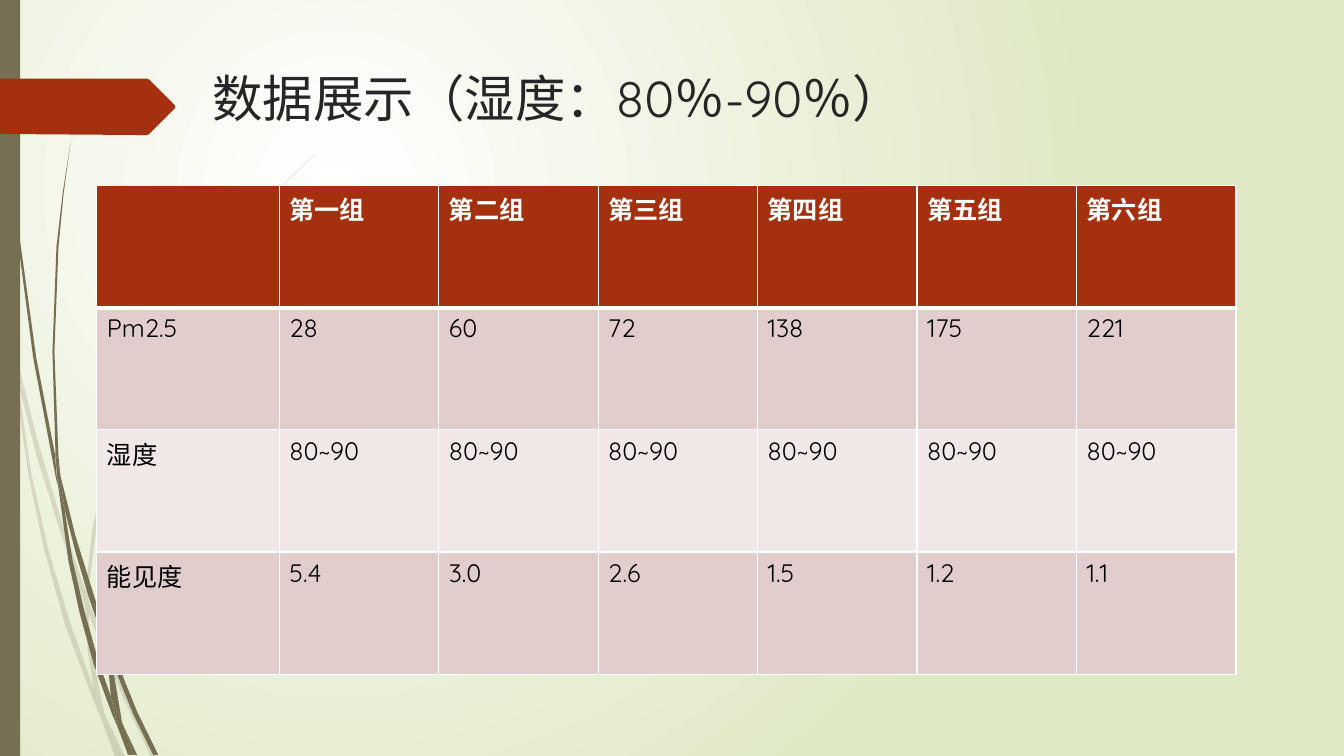
from lxml.etree import SubElement
from pptx import Presentation
from pptx.dml.color import RGBColor
from pptx.oxml.ns import qn
from pptx.enum.shapes import MSO_SHAPE
from pptx.util import Inches, Pt

WHITE = RGBColor(0xFF, 0xFF, 0xFF)
BLACK = RGBColor(0, 0, 0)
PALE_GREEN = RGBColor(0xDF, 0xE8, 0xC4)
OLIVE = RGBColor(0x76, 0x6F, 0x54)
RUST = RGBColor(0xA5, 0x30, 0x10)
CHARCOAL = RGBColor(0x26, 0x26, 0x26)
PINK = RGBColor(0xE1, 0xCD, 0xCC)
LIGHT_PINK = RGBColor(0xF0, 0xE8, 0xE7)
FONT = "Quicksand"

PALE_GRASS = [
    [(0.11, 3.5), (0.09, 3.22), (0, 2.82), (0, 2.99), (0.1, 3.44)],
    [(0.58, 5.22), (0.84, 5.99), (0.85, 5.86), (0.62, 5.2), (0.37, 4.36), (0.14, 3.45),
     (0.17, 3.76), (0.36, 4.51)],
    [(0.92, 6.07), (0.88, 5.96), (0.88, 6.1), (1.23, 6.94), (1.5, 7.51), (1.55, 7.51),
     (1.27, 6.92)],
    [(1.19, 7.51), (1.24, 7.51), (1.05, 7.11)],
    [(0.93, 6.83), (0.7, 6.19), (0.48, 5.45), (0.31, 4.69), (0.17, 3.76), (0.11, 3.5),
     (0.28, 4.7), (0.44, 5.46), (0.65, 6.21), (0.92, 6.93), (1.01, 7.14), (0.99, 7.07)],
    [(0.84, 5.99), (0.87, 6.46), (0.93, 6.83), (0.96, 6.92), (1.05, 7.11), (1.03, 7.06),
     (0.91, 6.46), (0.88, 6.1), (0.88, 6.08)],
    [(0.88, 5.84), (0.96, 5.22), (1.1, 4.62), (1.33, 4.04), (1.6, 3.49), (1.93, 2.95),
     (2.29, 2.45), (2.68, 1.98), (2.9, 1.75), (3.12, 1.54), (3.12, 1.53), (2.89, 1.75),
     (2.68, 1.97), (2.28, 2.44), (1.91, 2.94), (1.58, 3.48), (1.3, 4.03), (1.07, 4.61),
     (0.92, 5.22), (0.85, 5.84), (0.85, 5.86), (0.88, 5.96)],
    [(1.01, 7.14), (1.14, 7.51), (1.19, 7.51)],
    [(0.88, 6.08), (0.88, 6.1), (0.88, 5.96), (0.85, 5.86), (0.84, 5.99)],
    [(0.96, 6.92), (0.93, 6.83), (0.99, 7.07), (1.01, 7.14), (1.19, 7.51), (1.05, 7.11)],
]
DARK_GRASS = [
    [(0.07, 1.1), (0.17, 2.33), (0.33, 3.55), (0.56, 4.77), (0.57, 4.81), (0.55, 4.57),
     (0.55, 4.53), (0.36, 3.55), (0.19, 2.32), (0.08, 1.09), (0.05, 0.48), (0.04, 0),
     (0.03, 0), (0.04, 0.48)],
    [(0.88, 5.92), (1.06, 6.45), (1.06, 6.33), (1.06, 6.31), (0.93, 5.9), (0.75, 5.32),
     (0.6, 4.72), (0.64, 5.05), (0.75, 5.48)],
    [(1.13, 6.49), (1.1, 6.41), (1.11, 6.56), (1.32, 7.08), (1.52, 7.49), (1.57, 7.49),
     (1.36, 7.06)],
    [(1.1, 6.91), (0.98, 6.57), (0.84, 6.07), (0.72, 5.56), (0.64, 5.05), (0.57, 4.77),
     (0.68, 5.57), (0.79, 6.08), (0.93, 6.59), (1.11, 7.08), (1.17, 7.22), (1.16, 7.17)],
    [(0.6, 4.72), (0.58, 4.53), (0.54, 3.49), (0.58, 2.45), (0.63, 1.93), (0.7, 1.41),
     (0.62, 1.93), (0.56, 2.45), (0.52, 3.49), (0.55, 4.49)],
    [(1.33, 7.49), (1.36, 7.49), (1.22, 7.19)],
    [(0.57, 4.77), (0.64, 5.05), (0.6, 4.72), (0.55, 4.49), (0.55, 4.53)],
    [(1.11, 6.33), (1.15, 5.92), (1.25, 5.52), (1.4, 5.13), (1.58, 4.76), (1.8, 4.4),
     (2.05, 4.06), (2.31, 3.74), (2.45, 3.59), (2.61, 3.44), (2.6, 3.44), (2.45, 3.58),
     (2.31, 3.73), (2.04, 4.05), (1.78, 4.39), (1.56, 4.74), (1.37, 5.12), (1.22, 5.51),
     (1.11, 5.91), (1.06, 6.31), (1.1, 6.41)],
    [(1.17, 7.22), (1.27, 7.49), (1.31, 7.49)],
    [(1.06, 6.45), (1.1, 6.91), (1.16, 7.06), (1.22, 7.19), (1.21, 7.16), (1.11, 6.56),
     (1.09, 6.51)],
    [(1.06, 6.45), (1.09, 6.51), (1.11, 6.56), (1.1, 6.41), (1.06, 6.31), (1.06, 6.33)],
    [(1.16, 7.06), (1.1, 6.91), (1.16, 7.17), (1.17, 7.22), (1.3, 7.49), (1.33, 7.49),
     (1.22, 7.19)],
]
TITLE_ARROW = [(0, 0), (1.46, 0), (1.48, 0.01), (1.73, 0.26), (1.74, 0.28), (1.73, 0.3),
               (1.48, 0.55), (1.46, 0.56), (1.36, 0.56), (0, 0.55)]
READINGS = [
    ["", "第一组", "第二组", "第三组", "第四组", "第五组", "第六组"],
    ["Pm2.5", "28", "60", "72", "138", "175", "221"],
    ["湿度"] + ["80~90"] * 6,
    ["能见度", "5.4", "3.0", "2.6", "1.5", "1.2", "1.1"],
]
ROW_FILLS = [RUST, PINK, LIGHT_PINK, PINK]


def write(frame, text, size=18, color=BLACK, bold=False):
    """Put one formatted run of text in a text frame."""
    frame.word_wrap = True
    run = frame.paragraphs[0].add_run()
    run.text = text
    run.font.name = FONT
    run.font.size = Pt(size)
    run.font.bold = bold
    run.font.color.rgb = color


def paint(shape, color, opacity=100):
    """Give a shape a flat fill with no line or shadow."""
    shape.shadow.inherit = False
    shape.line.fill.background()
    shape.fill.solid()
    shape.fill.fore_color.rgb = color
    if opacity < 100:
        tint = shape._element.spPr.find(qn("a:solidFill"))[0]
        SubElement(tint, qn("a:alpha"), val=str(opacity * 1000))


def outline(shapes, points, left, top, color, opacity=100):
    """Draw a closed outline whose points are relative to left and top."""
    placed = [(Inches(left + x), Inches(top + y)) for x, y in points]
    builder = shapes.build_freeform(*placed[0])
    builder.add_line_segments(placed[1:])
    paint(builder.convert_to_shape(), color, opacity)


def backdrop(slide):
    """Fill the background with a round gradient from white to green."""
    fill = slide.background.fill
    fill.gradient()
    for stop, color in zip(fill.gradient_stops, (WHITE, PALE_GREEN)):
        stop.color.rgb = color
    gradient = slide._element.find(".//" + qn("a:gradFill"))
    gradient.remove(gradient.find(qn("a:lin")))
    circle = SubElement(gradient, qn("a:path"))
    circle.set("path", "circle")
    SubElement(circle, qn("a:fillToRect"), l="50000", t="50000", r="100000", b="100000")


def side_decoration(slide, left, top, width, height):
    """Draw the grass blades, the side bar and the title arrow."""
    for blades, opacity in ((PALE_GRASS, 20), (DARK_GRASS, 100)):
        clump = slide.shapes.add_group_shape()
        for blade in blades:
            outline(clump.shapes, blade, left, top, OLIVE, opacity)
    bar = slide.shapes.add_shape(MSO_SHAPE.RECTANGLE, Inches(left), Inches(top),
                                 Inches(width), Inches(height))
    paint(bar, OLIVE)
    outline(slide.shapes, TITLE_ARROW, left, top + 0.78, RUST)


def heading(slide, left, top, width, height):
    """Place the slide title."""
    title = slide.shapes.add_textbox(Inches(left), Inches(top), Inches(width), Inches(height))
    write(title.text_frame, "数据展示（湿度：80％-90％）", size=36, color=CHARCOAL)


def border(cell, top, bottom):
    """Line a cell in white, with the given top and bottom widths."""
    for side, width in (("L", 1), ("R", 1), ("T", top), ("B", bottom)):
        line = SubElement(cell._tc.get_or_add_tcPr(), qn("a:ln" + side), w=str(Pt(width)))
        SubElement(SubElement(line, qn("a:solidFill")), qn("a:srgbClr"), val=str(WHITE))


def readings_table(slide, left, top, width, height):
    """Place the table of readings with a wider first column."""
    label_width = 1.81
    rows, columns = len(READINGS), len(READINGS[0])
    table = slide.shapes.add_table(rows, columns, Inches(left), Inches(top),
                                   Inches(width), Inches(height)).table
    table.first_row = table.horz_banding = False
    for index, column in enumerate(table.columns):
        column.width = Inches((width - label_width) / (columns - 1) if index else label_width)
    for r, (values, fill) in enumerate(zip(READINGS, ROW_FILLS)):
        table.rows[r].height = Inches(height / rows)
        for c, value in enumerate(values):
            cell = table.cell(r, c)
            border(cell, top=3 if r == 1 else 1, bottom=3 if r == 0 else 1)
            cell.fill.solid()
            cell.fill.fore_color.rgb = fill
            if value:
                write(cell.text_frame, value, color=BLACK if r else WHITE, bold=r == 0)


def main():
    """Build the slide and save it."""
    deck = Presentation()
    deck.slide_width, deck.slide_height = Inches(13.33), Inches(7.5)
    slide = deck.slides.add_slide(deck.slide_layouts[6])
    backdrop(slide)
    side_decoration(slide, 0, 0, 0.2, 7.5)
    heading(slide, 2.01, 0.62, 9.75, 1.4)
    readings_table(slide, 0.96, 1.84, 11.3, 4.85)
    deck.save("out.pptx")


if __name__ == "__main__":
    main()
